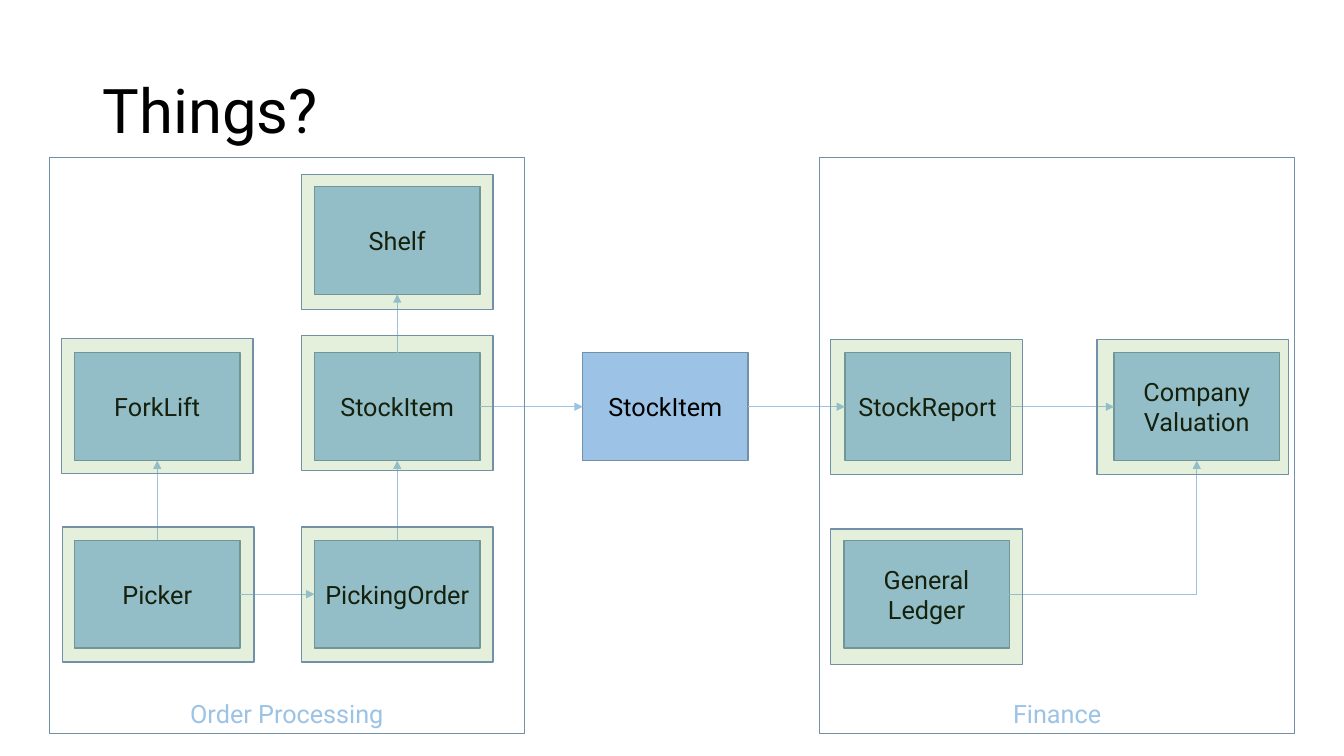
from lxml import etree
from pptx import Presentation
from pptx.dml.color import RGBColor
from pptx.enum.shapes import MSO_CONNECTOR, MSO_SHAPE
from pptx.enum.text import MSO_ANCHOR, PP_ALIGN
from pptx.oxml.ns import qn
from pptx.util import Inches, Pt

RECT = MSO_SHAPE.RECTANGLE
STRAIGHT, ELBOW = MSO_CONNECTOR.STRAIGHT, MSO_CONNECTOR.ELBOW
MIDDLE, BOTTOM = MSO_ANCHOR.MIDDLE, MSO_ANCHOR.BOTTOM
LEFT, CENTER = PP_ALIGN.LEFT, PP_ALIGN.CENTER
TOP_SIDE, LEFT_SIDE, BOTTOM_SIDE, RIGHT_SIDE = range(4)

BLACK = RGBColor(0x00, 0x00, 0x00)
BLUE = RGBColor(0x9C, 0xC3, 0xE5)
SLATE = RGBColor(0x73, 0x90, 0xA9)
GREEN = RGBColor(0x70, 0xAD, 0x47)

FONT = "Roboto"
PANEL_W, PANEL_H = 4.71, 5.72
NODE_W, NODE_H = 1.64, 1.07
HALO_W, HALO_H = 1.9, 1.34
GREEN_ALPHA = 19

ORDER_PANEL = (0.49, 1.56)
FINANCE_PANEL = (8.13, 1.56)
ORDER_NODES = {
    "ForkLift": (0.25, 1.94),
    "Picker": (0.25, 3.8),
    "PickingOrder": (2.63, 3.8),
    "StockItem": (2.63, 1.94),
    "Shelf": (2.63, 0.29),
}
FINANCE_NODES = {
    "StockReport": (0.25, 1.94),
    "Company Valuation": (2.92, 1.94),
    "General Ledger": (0.24, 3.8),
}
ORDER_HALOS = [(2.5, 0.17), (2.5, 1.77), (2.5, 3.67), (0.12, 1.8), (0.13, 3.67)]
FINANCE_HALOS = [(0.11, 1.81), (2.75, 1.81), (0.11, 3.69)]


def write(sp, text, size=18, color=BLACK, align=CENTER, anchor=MIDDLE, spacing=None):
    """Put one formatted paragraph into a shape."""
    tf = sp.text_frame
    tf.word_wrap = True
    tf.vertical_anchor = anchor
    p = tf.paragraphs[0]
    p.alignment = align
    p.line_spacing = spacing
    r = p.add_run()
    r.text = text
    r.font.name, r.font.size = FONT, Pt(size)
    r.font.color.rgb = color


def rect(s, left, top, width, height, fill=None, alpha=None):
    """Add an outlined rectangle, optionally filled and see-through."""
    sp = s.shapes.add_shape(RECT, Inches(left), Inches(top), Inches(width), Inches(height))
    sp.shadow.inherit = False
    sp.line.color.rgb = SLATE
    sp.line.width = Pt(1)
    if fill is None:
        sp.fill.background()
    else:
        sp.fill.solid()
        sp.fill.fore_color.rgb = fill
    if alpha is not None:
        color = sp.fill._xPr.find(qn("a:solidFill"))[0]
        etree.SubElement(color, qn("a:alpha"), val=str(alpha * 1000))
    return sp


def title(s, left, top, width, height):
    """Add the slide title."""
    sp = s.shapes.add_textbox(Inches(left), Inches(top), Inches(width), Inches(height))
    write(sp, "Things?", size=44, align=LEFT, spacing=0.9)


def node(s, left, top, text):
    """Add one labelled blue box."""
    sp = rect(s, left, top, NODE_W, NODE_H, fill=BLUE)
    write(sp, text)
    return sp


def node_group(s, left, top, nodes):
    """Add the boxes of one panel and return them by label."""
    return {text: node(s, left + dx, top + dy, text) for text, (dx, dy) in nodes.items()}


def arrow(s, start, start_side, end, end_side, kind=STRAIGHT):
    """Join two boxes with a thin arrow."""
    c = s.shapes.add_connector(kind, 0, 0, 0, 0)
    c.begin_connect(start, start_side)
    c.end_connect(end, end_side)
    c.line.color.rgb = BLUE
    c.line.width = Pt(0.5)
    etree.SubElement(c.line._get_or_add_ln(), qn("a:tailEnd"), type="triangle")
    sp_pr = c._element.spPr
    etree.SubElement(sp_pr, qn("a:effectLst"))
    if kind == ELBOW:
        sp_pr.find(qn("a:prstGeom")).set("prst", "bentConnector2")


def panel(s, left, top, label):
    """Add the labelled outline of one context."""
    sp = rect(s, left, top, PANEL_W, PANEL_H)
    write(sp, label, color=BLUE, anchor=BOTTOM)


def halos(s, left, top, offsets):
    """Lay see-through green frames over the boxes of one panel."""
    for dx, dy in offsets:
        rect(s, left + dx, top + dy, HALO_W, HALO_H, fill=GREEN, alpha=GREEN_ALPHA)


def main():
    """Build the slide and save it."""
    prs = Presentation()
    prs.slide_width, prs.slide_height = Inches(13.33), Inches(7.5)
    s = prs.slides.add_slide(prs.slide_layouts[6])

    title(s, 0.92, 0.4, 11.5, 1.45)
    order = node_group(s, *ORDER_PANEL, ORDER_NODES)
    shared = node(s, 5.78, 3.5, "StockItem")
    finance = node_group(s, *FINANCE_PANEL, FINANCE_NODES)

    for start, end in (("Picker", "ForkLift"), ("PickingOrder", "StockItem"), ("StockItem", "Shelf")):
        arrow(s, order[start], TOP_SIDE, order[end], BOTTOM_SIDE)
    report, valuation = finance["StockReport"], finance["Company Valuation"]
    for start, end in (
        (order["Picker"], order["PickingOrder"]),
        (order["StockItem"], shared),
        (shared, report),
        (report, valuation),
    ):
        arrow(s, start, RIGHT_SIDE, end, LEFT_SIDE)
    arrow(s, finance["General Ledger"], RIGHT_SIDE, valuation, BOTTOM_SIDE, kind=ELBOW)

    panel(s, *ORDER_PANEL, "Order Processing")
    panel(s, *FINANCE_PANEL, "Finance")
    halos(s, *ORDER_PANEL, ORDER_HALOS)
    halos(s, *FINANCE_PANEL, FINANCE_HALOS)
    prs.save("out.pptx")


if __name__ == "__main__":
    main()
